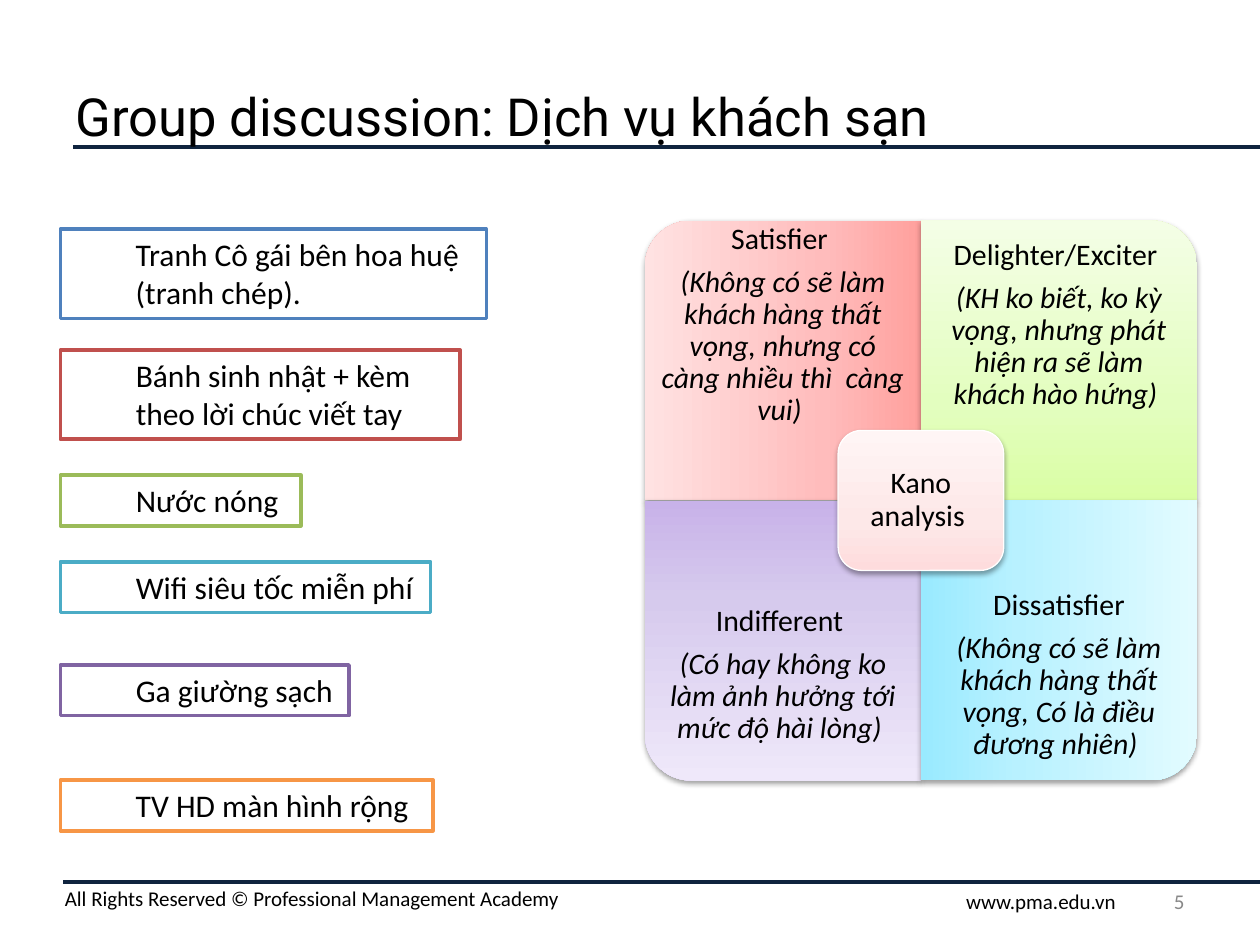
from copy import deepcopy

from lxml import etree
from pptx import Presentation
from pptx.dml.color import RGBColor
from pptx.enum import shapes as es, text as et
from pptx.oxml.ns import qn
from pptx.util import Pt

BLACK = RGBColor(0, 0, 0)
WHITE = RGBColor(255, 255, 255)
GREY = RGBColor(0x88, 0x88, 0x88)
NAVY = RGBColor(0x0F, 0x24, 0x3E)
BLUE = RGBColor(0x4F, 0x81, 0xBD)
RED = RGBColor(0xC0, 0x50, 0x4D)
GREEN = RGBColor(0x9B, 0xBB, 0x59)
AQUA = RGBColor(0x4B, 0xAC, 0xC6)
PURPLE = RGBColor(0x80, 0x64, 0xA2)
ORANGE = RGBColor(0xF7, 0x96, 0x46)
# Gradients run from dark to light.
PINKS = [RGBColor(0xFF, 0xA0, 0x9D), RGBColor(0xFF, 0xBC, 0xBC), RGBColor(0xFF, 0xE2, 0xE2)]
LIMES = [RGBColor(0xDA, 0xFE, 0xA4), RGBColor(0xE3, 0xFE, 0xBF), RGBColor(0xF4, 0xFE, 0xE6)]
LILACS = [RGBColor(0xC8, 0xB2, 0xE9), RGBColor(0xD6, 0xCA, 0xED), RGBColor(0xEF, 0xE8, 0xFA)]
SKIES = [RGBColor(0x99, 0xEA, 0xFF), RGBColor(0xB8, 0xF1, 0xFF), RGBColor(0xE2, 0xFB, 0xFF)]
ROSES = [RGBColor(0xFE, 0xDC, 0xDD), RGBColor(0xFD, 0xE8, 0xE8), RGBColor(0xFF, 0xF5, 0xF5)]

LEFT, MID = et.PP_ALIGN.LEFT, et.PP_ALIGN.CENTER
TOP, HALF = et.MSO_ANCHOR.TOP, et.MSO_ANCHOR.MIDDLE
GROW, FIXED = et.MSO_AUTO_SIZE.SHAPE_TO_FIT_TEXT, et.MSO_AUTO_SIZE.NONE

deck = Presentation()
deck.slide_width, deck.slide_height = Pt(720), Pt(540)
slide = deck.slides.add_slide(deck.slide_layouts[6])
items = slide.shapes


def write(shape, lines, size, face="Calibri", color=BLACK, align=LEFT,
          anchor=TOP, fit=FIXED, pad=(7.2, 3.6), indent=0, space=1.0):
    """Fill a shape with paragraphs; those after the first are italic."""
    frame = shape.text_frame
    form = {"word_wrap": True, "auto_size": fit, "vertical_anchor": anchor,
            "margin_left": Pt(pad[0]), "margin_right": Pt(pad[0]),
            "margin_top": Pt(pad[1]), "margin_bottom": Pt(pad[1])}
    for key, val in form.items():
        setattr(frame, key, val)
    for i, line in enumerate(lines):
        par = frame.paragraphs[0] if i == 0 else frame.add_paragraph()
        par.alignment, par.line_spacing = align, space
        if indent:
            par.level = 1
            props = par._p.get_or_add_pPr()
            props.set("marL", str(Pt(indent)))
            props.set("indent", "0")
        if i:
            par.space_before = Pt(6)
        run = par.add_run()
        run.text = line
        run.font.color.rgb = color
        form = {"name": face, "size": Pt(size), "italic": i > 0}
        for key, val in form.items():
            setattr(run.font, key, val)


def add_tile(kind, x, y, w, h, tones, turn=0):
    """Add a gradient tile with a soft shadow; x, y, w, h bound it as turned."""
    wide, tall = (h, w) if turn % 180 else (w, h)
    tile = items.add_shape(kind, Pt(x + (w - wide) / 2), Pt(y + (h - tall) / 2),
                           Pt(wide), Pt(tall))
    tile.rotation = turn
    tile.adjustments[0] = 0.167
    fill = tile.fill
    fill.gradient()
    fill.gradient_angle = 90
    stops = tile._element.spPr.find(qn("a:gradFill")).find(qn("a:gsLst"))
    stops.insert(1, deepcopy(stops[0]))
    for stop, tone, pos in zip(fill.gradient_stops, tones, (0, 0.35, 1)):
        stop.color.rgb, stop.position = tone, pos
    tile.line.fill.background()
    tile.shadow.inherit = False
    glow = etree.SubElement(
        tile._element.spPr.find(qn("a:effectLst")), qn("a:outerShdw"),
        blurRad=str(Pt(3.1)), dist=str(Pt(1.6)), dir="5400000", rotWithShape="0")
    shade = etree.SubElement(glow, qn("a:srgbClr"), val="000000")
    etree.SubElement(shade, qn("a:alpha"), val="37000")
    return tile


# Title and footer
for x, y in [(42, 84), (36, 504)]:
    rule = items.add_connector(es.MSO_CONNECTOR.STRAIGHT, Pt(x), Pt(y), Pt(720), Pt(y))
    rule.line.color.rgb, rule.line.width = NAVY, Pt(2)
    etree.SubElement(rule._element.spPr, qn("a:effectLst"))

labels = [
    ("All Rights Reserved © Professional Management Academy",
     (30, 502.5, 690, 21.8), 12, {"fit": GROW}),
    ("www.pma.edu.vn", (545, 504, 109.5, 21.8), 12, {"fit": GROW}),
    ("5", (516, 500.5, 168, 28.75), 12,
     {"color": GREY, "align": et.PP_ALIGN.RIGHT, "anchor": HALF}),
    ("Group discussion: Dịch vụ khách sạn", (36, 36, 648, 60), 30,
     {"face": "Roboto", "anchor": HALF}),
]
for words, place, size, form in labels:
    write(items.add_textbox(*map(Pt, place)), [words], size, **form)

# Kano matrix
X, Y, W, H, TALL = 368.5, 126, 157.75, 160, 120
quads = [
    (0, 0, 270, PINKS, "Satisfier ",
     "(Không có sẽ làm khách hàng thất vọng, nhưng có càng nhiều thì  càng vui) "),
    (1, 0, 0, LIMES, "Delighter/Exciter ",
     "(KH ko biết, ko kỳ vọng, nhưng phát hiện ra sẽ làm khách hào hứng) "),
    (0, 1, 180, LILACS, "Indifferent ",
     "(Có hay không ko làm ảnh hưởng tới mức độ hài lòng) "),
    (1, 1, 90, SKIES, "Dissatisfier",
     "(Không có sẽ làm khách hàng thất vọng, Có là điều đương nhiên) "),
]
style = {"size": 17, "align": MID, "anchor": HALF, "space": 0.9}
for col, row, turn, tones, head, note in quads:
    x, y = X + col * W, Y + row * H
    add_tile(es.MSO_SHAPE.ROUND_1_RECTANGLE, x, y, W, H, tones, turn)
    box = items.add_textbox(Pt(x), Pt(y + row * (H - TALL)), Pt(W), Pt(TALL))
    write(box, [head, note], pad=(9.5, 9.5), **style)

hub = add_tile(es.MSO_SHAPE.ROUNDED_RECTANGLE, X + W * 0.7, Y + H * 0.75,
               W * 0.6, H / 2, ROSES)
hub.line.color.rgb, hub.line.width = WHITE, Pt(0.75)
box = items.add_textbox(Pt(X + W - 43.5), Pt(Y + H - 36), Pt(87), Pt(72))
write(box, ["Kano analysis "], pad=(5, 5), **style)

# Hotel services to sort
cards = [
    ("Tranh Cô gái bên hoa huệ (tranh chép).", 131, 243.5, 51, BLUE),
    ("Bánh sinh nhật + kèm theo lời chúc viết tay", 200, 228.5, 51, RED),
    ("Nước nóng", 271.5, 137.5, 29, GREEN),
    ("Wifi siêu tốc miễn phí", 321, 211.5, 29, AQUA),
    ("Ga giường sạch", 380, 165, 29, PURPLE),
    ("TV HD màn hình rộng", 445.75, 213, 29, ORANGE),
]
for words, y, w, h, tone in cards:
    card = items.add_shape(es.MSO_SHAPE.RECTANGLE, Pt(34.5), Pt(y), Pt(w), Pt(h))
    card.shadow.inherit = False
    card.fill.solid()
    card.fill.fore_color.rgb = WHITE
    card.line.color.rgb, card.line.width = tone, Pt(2)
    write(card, [words], 18, fit=GROW, indent=36)

deck.save("out.pptx")
